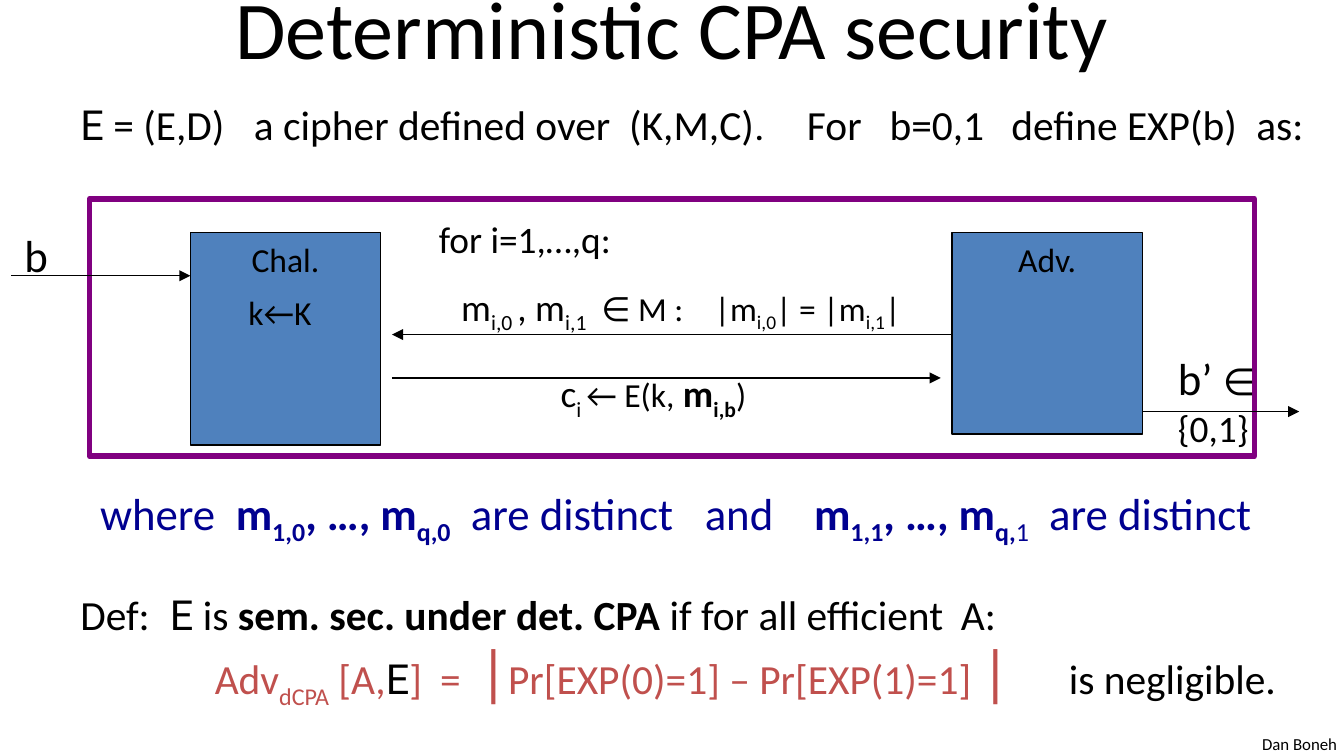
from dataclasses import dataclass

from lxml.etree import SubElement
from pptx import Presentation
from pptx.dml.color import RGBColor
from pptx.enum.shapes import MSO_CONNECTOR, MSO_SHAPE
from pptx.enum.text import MSO_ANCHOR, PP_ALIGN
from pptx.oxml.ns import qn
from pptx.slide import Slide
from pptx.text.text import TextFrame
from pptx.util import Emu, Pt


@dataclass(frozen=True)
class Theme:
    black: str = "000000"
    blue: str = "4F81BD"
    navy: str = "000090"
    red: str = "C0504D"
    purple: str = "800080"
    font: str = "Calibri"
    script_font: str = "Roboto"
    title: float = 44
    bar: float = 33.3
    large: float = 24
    body: float = 22.2
    message: float = 20
    label: float = 18
    footer: float = 9


THEME = Theme()


@dataclass(frozen=True)
class Box:
    left: int
    top: int
    width: int
    height: int


@dataclass(frozen=True)
class Piece:
    text: str
    size: float
    color: str = THEME.black
    bold: bool = False
    subscript: bool = False
    font: str = THEME.font


@dataclass(frozen=True)
class Line:
    pieces: list[Piece]
    tabs: tuple[int, ...] = ()
    spacing: float = 1.0
    align: PP_ALIGN = PP_ALIGN.LEFT


@dataclass(frozen=True)
class Label:
    box: Box
    lines: list[Line]


@dataclass(frozen=True)
class Party:
    name: str
    box: Box


@dataclass(frozen=True)
class Arrow:
    start: int
    end: int
    y: int


def px(length: int) -> Emu:
    return Emu(length * 9525)


def place(box: Box) -> tuple[Emu, Emu, Emu, Emu]:
    return px(box.left), px(box.top), px(box.width), px(box.height)


def write(frame: TextFrame, lines: list[Line]) -> None:
    frame.word_wrap = True
    for index, line in enumerate(lines):
        paragraph = frame.paragraphs[0] if index == 0 else frame.add_paragraph()
        if line.tabs:
            tab_list = SubElement(paragraph._p.get_or_add_pPr(), qn("a:tabLst"))
            for stop in line.tabs:
                SubElement(tab_list, qn("a:tab"), pos=str(px(stop)), algn="l")
        paragraph.alignment = line.align
        paragraph.line_spacing = line.spacing
        for piece in line.pieces:
            run = paragraph.add_run()
            run.text = piece.text
            run.font.size = Pt(piece.size)
            run.font.name = piece.font
            run.font.bold = piece.bold
            run.font.color.rgb = RGBColor.from_string(piece.color)
            if piece.subscript:
                run._r.get_or_add_rPr().set("baseline", "-25000")


def add_label(slide: Slide, label: Label) -> None:
    write(slide.shapes.add_textbox(*place(label.box)).text_frame, label.lines)


def add_party(slide: Slide, party: Party) -> None:
    shape = slide.shapes.add_shape(MSO_SHAPE.RECTANGLE, *place(party.box))
    shape.shadow.inherit = False
    shape.fill.solid()
    shape.fill.fore_color.rgb = RGBColor.from_string(THEME.blue)
    shape.line.color.rgb = RGBColor.from_string(THEME.black)
    shape.line.width = Pt(0.75)
    shape.text_frame.vertical_anchor = MSO_ANCHOR.TOP
    write(shape.text_frame, [Line([Piece(party.name, THEME.label)], align=PP_ALIGN.CENTER)])


def add_frame(slide: Slide, box: Box) -> None:
    shape = slide.shapes.add_shape(MSO_SHAPE.RECTANGLE, *place(box))
    shape.shadow.inherit = False
    shape.fill.background()
    shape.line.color.rgb = RGBColor.from_string(THEME.purple)
    shape.line.width = Pt(3)


def add_arrow(slide: Slide, arrow: Arrow) -> None:
    connector = slide.shapes.add_connector(
        MSO_CONNECTOR.STRAIGHT, px(arrow.start), px(arrow.y), px(arrow.end), px(arrow.y)
    )
    connector.line.color.rgb = RGBColor.from_string(THEME.black)
    connector.line.width = Pt(0.75)
    SubElement(connector.line._get_or_add_ln(), qn("a:tailEnd"), type="triangle")
    SubElement(connector._element.spPr, qn("a:effectLst"))


def indexed(symbol: str, index: str, size: float, color: str = THEME.black,
            bold: bool = False) -> list[Piece]:
    return [Piece(symbol, size, color, bold), Piece(index, size, color, bold, True)]


def body(text: str, color: str = THEME.black, bold: bool = False) -> Piece:
    return Piece(text, THEME.body, color, bold)


def navy(text: str) -> Piece:
    return Piece(text, THEME.large, THEME.navy)


def navy_message(index: str) -> list[Piece]:
    return indexed("m", index, THEME.large, THEME.navy, True)


CIPHER = Piece("E", THEME.body, font=THEME.script_font)
INTRO = Line(
    [CIPHER, body(" = (E,D)\ta cipher defined over\t(K,M,C)"),
     Piece(".", THEME.body, font=THEME.script_font),
     body("\tFor\tb=0,1\tdefine EXP(b)\tas:")],
    (124, 392, 519, 578, 665, 840), 0.9)
DEFINITION = Line(
    [body("Def:\t"), CIPHER, body(" is "), body("sem. sec. under det. CPA ", bold=True),
     body("if for all efficient\tA:")],
    (64, 629), 0.9)
ADVANTAGE = Line(
    [body("\t"), *indexed("Adv", "dCPA", THEME.body, THEME.red),
     body(" [A,", THEME.red), CIPHER, body("]\t=\t", THEME.red),
     Piece("|", THEME.bar, THEME.red),
     body("Pr[EXP(0)=1] – Pr[EXP(1)=1] ", THEME.red),
     Piece("|", THEME.bar, THEME.red), body("\tis negligible.")],
    (96, 257, 285, 706), 0.9)
QUERY = Line(
    [*indexed("m", "i,0 ", THEME.message), *indexed(", m", "i,1", THEME.message),
     Piece("\t∈ M :\t", THEME.label), *indexed("|m", "i,0", THEME.label),
     *indexed("| = |m", "i,1", THEME.label), Piece("|", THEME.label)],
    (100, 181))
REPLY = Line(
    [*indexed("c", "i ", THEME.message), Piece("← E(k,", THEME.label),
     *indexed(" m", "i,b", THEME.message, bold=True), Piece(")", THEME.label)])
DISTINCT = Line(
    [navy("where\t"), *navy_message("1,0"),
     *indexed(", …, m", "q,0", THEME.large, THEME.navy, True),
     navy("\tare distinct\tand\t"), *navy_message("1,1"),
     *indexed(", …, m", "q,", THEME.large, THEME.navy, True),
     Piece("1", THEME.large, THEME.navy, subscript=True), navy("\tare distinct")],
    (97, 265, 432, 510, 678))
OUTPUT = Line([Piece("b’ ", THEME.large), Piece("∈ {0,1}", THEME.message)])

LABELS = [
    Label(Box(48, 70, 912, 44), [INTRO]),
    Label(Box(48, 420, 912, 100), [DEFINITION, ADVANTAGE]),
    Label(Box(8, 158, 44, 48), [Line([Piece("b", THEME.large)])]),
    Label(Box(168, 204, 80, 38), [Line([Piece("k←K", THEME.label)])]),
    Label(Box(304, 150, 160, 42), [Line([Piece("for i=1,…,q:", THEME.message)])]),
    Label(Box(320, 198, 356, 42), [QUERY]),
    Label(Box(391, 260, 180, 42), [REPLY]),
    Label(Box(832, 246, 100, 80), [OUTPUT]),
    Label(Box(62, 342, 884, 48), [DISTINCT]),
    Label(Box(892, 519, 80, 24), [Line([Piece("Dan Boneh", THEME.footer)])]),
]
PARTIES = [Party("Chal.", Box(136, 166, 136, 152)), Party("Adv.", Box(680, 166, 136, 144))]
ARROWS = [Arrow(8, 136, 197), Arrow(816, 928, 294), Arrow(680, 280, 239), Arrow(280, 672, 270)]


def main() -> None:
    presentation = Presentation()
    presentation.slide_width, presentation.slide_height = px(960), px(540)
    slide = presentation.slides.add_slide(presentation.slide_layouts[5])
    title = slide.shapes.title
    title.left, title.top, title.width, title.height = place(Box(48, -26, 864, 90))
    title.text_frame.vertical_anchor = MSO_ANCHOR.MIDDLE
    write(title.text_frame, [
        Line([Piece("Deterministic CPA security", THEME.title)], align=PP_ALIGN.CENTER)])
    for party in PARTIES:
        add_party(slide, party)
    add_frame(slide, Box(64, 142, 832, 184))
    for arrow in ARROWS:
        add_arrow(slide, arrow)
    for label in LABELS:
        add_label(slide, label)
    presentation.save("out.pptx")


if __name__ == "__main__":
    main()
